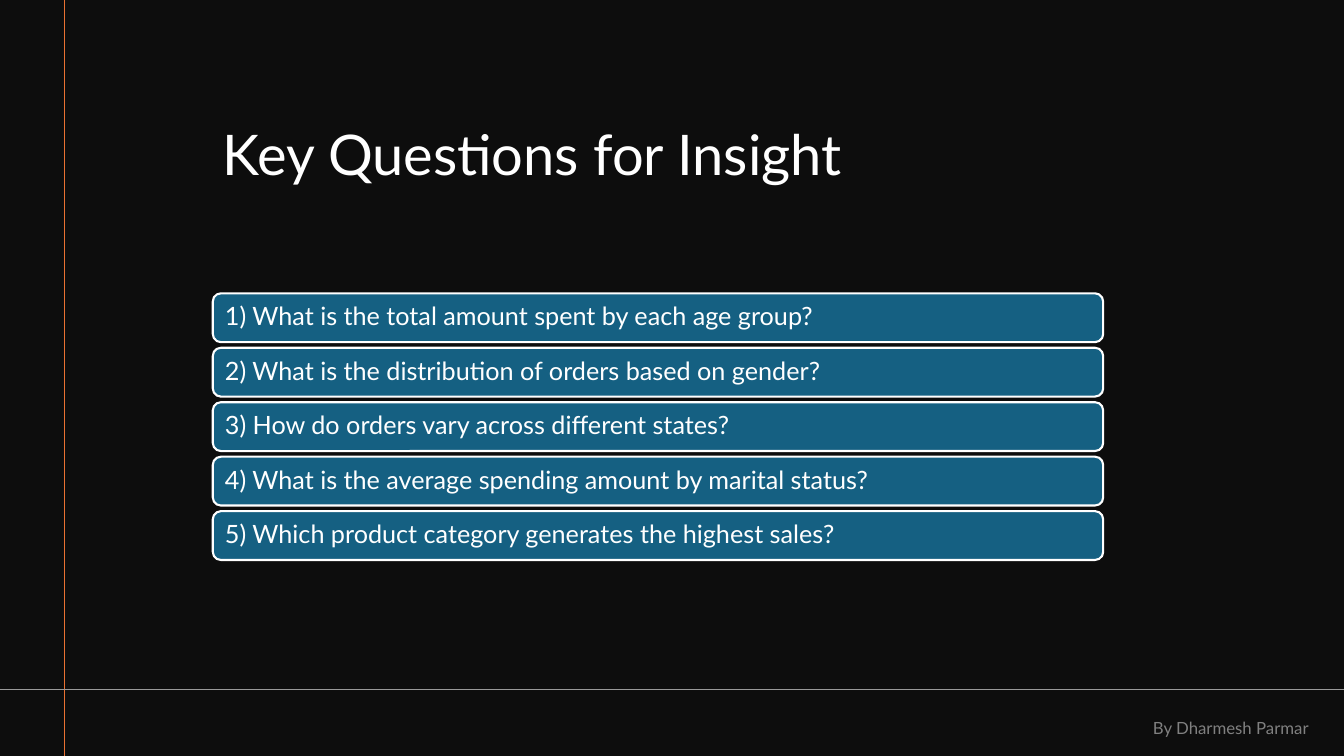
import dataclasses

import pptx
import pptx.dml.color
import pptx.enum.shapes
import pptx.enum.text
import pptx.oxml.ns
import pptx.util
from lxml import etree

Pt = pptx.util.Pt
ANCHOR = pptx.enum.text.MSO_ANCHOR
ALIGN = pptx.enum.text.PP_ALIGN


@dataclasses.dataclass(frozen=True)
class Theme:
    """Hold the colours, font and type sizes of the deck."""

    font: str = "Lato"
    backdrop: str = "0D0D0D"
    text: str = "FFFFFF"
    bar: str = "156082"
    accent: str = "E97132"
    rule: str = "999999"
    muted: str = "808080"
    title_size: float = 40
    question_size: float = 18
    credit_size: float = 12


THEME = Theme()
WIDTH, HEIGHT = 960, 540
QUESTIONS = [
    "What is the total amount spent by each age group?",
    "What is the distribution of orders based on gender?",
    "How do orders vary across different states?",
    "What is the average spending amount by marital status?",
    "Which product category generates the highest sales?",
]


def colour(value):
    """Return the RGB colour for a hex value."""
    return pptx.dml.color.RGBColor.from_string(value)


def apply(target, formats):
    """Set each attribute in formats on the target."""
    for name, value in formats.items():
        setattr(target, name, value)


def write(shape, text, size, ink, frame_format, spacing=0.9):
    """Write one line of styled text into a shape."""
    frame = shape.text_frame
    apply(frame, {"word_wrap": True, **frame_format})
    para = frame.paragraphs[0]
    apply(para, {"alignment": ALIGN.LEFT, "line_spacing": spacing})
    span = para.add_run()
    span.text = text
    apply(span.font, {"name": THEME.font, "size": Pt(size)})
    span.font.color.rgb = colour(ink)


def add_text(page, box, text, size, ink, anchor, spacing):
    """Place a text box in the given box."""
    shape = page.shapes.add_textbox(*map(Pt, box))
    write(shape, text, size, ink, {"vertical_anchor": anchor}, spacing)


def add_rule(page, start, end, ink):
    """Draw a thin straight line between two points."""
    line = page.shapes.add_connector(
        pptx.enum.shapes.MSO_CONNECTOR.STRAIGHT, *map(Pt, start + end)
    )
    line.line.width = Pt(1)
    line.line.color.rgb = colour(ink)
    properties = line._element.spPr
    etree.SubElement(properties, pptx.oxml.ns.qn("a:effectLst"))


def add_frame(page, box):
    """Paint the backdrop and the two rules that cross the box."""
    left, top, width, height = box
    fill = page.background.fill
    fill.solid()
    fill.fore_color.rgb = colour(THEME.backdrop)
    across, down = left + 46, top + 492.5
    add_rule(page, (across, top), (across, top + height), THEME.accent)
    add_rule(page, (left + width, down), (left, down), THEME.rule)


def add_questions(page, box, questions):
    """Stack numbered question bars evenly in the box."""
    left, top, width, height = box
    gap = 4
    bar_height = (height - gap * (len(questions) - 1)) / len(questions)
    for index, question in enumerate(questions):
        bar_top = top + index * (bar_height + gap)
        bar = page.shapes.add_shape(
            pptx.enum.shapes.MSO_SHAPE.ROUNDED_RECTANGLE,
            *map(Pt, (left, bar_top, width, bar_height)),
        )
        bar.shadow.inherit = False
        bar.fill.solid()
        bar.fill.fore_color.rgb = colour(THEME.bar)
        bar.line.width = Pt(1.5)
        bar.line.color.rgb = colour(THEME.text)
        margins = {"margin_left": Pt(7), "margin_right": Pt(7),
                   "margin_top": Pt(5), "margin_bottom": Pt(5)}
        write(bar, f"{index + 1}) {question}", THEME.question_size, THEME.text,
              {"vertical_anchor": ANCHOR.MIDDLE, **margins})


def main():
    """Build the deck and save it."""
    deck = pptx.Presentation()
    apply(deck, {"slide_width": Pt(WIDTH), "slide_height": Pt(HEIGHT)})
    page = deck.slides.add_slide(deck.slide_layouts[6])
    add_frame(page, (0, 0, WIDTH, HEIGHT))
    add_text(page, (152, 75, 636, 62.5), "Key Questions for Insight",
             THEME.title_size, THEME.text, ANCHOR.BOTTOM, 0.9)
    add_questions(page, (152, 209.5, 636, 190.5), QUESTIONS)
    add_text(page, (816.5, 509, 134.5, 21.5), "By Dharmesh Parmar",
             THEME.credit_size, THEME.muted, ANCHOR.TOP, 1.0)
    deck.save("out.pptx")


if __name__ == "__main__":
    main()
